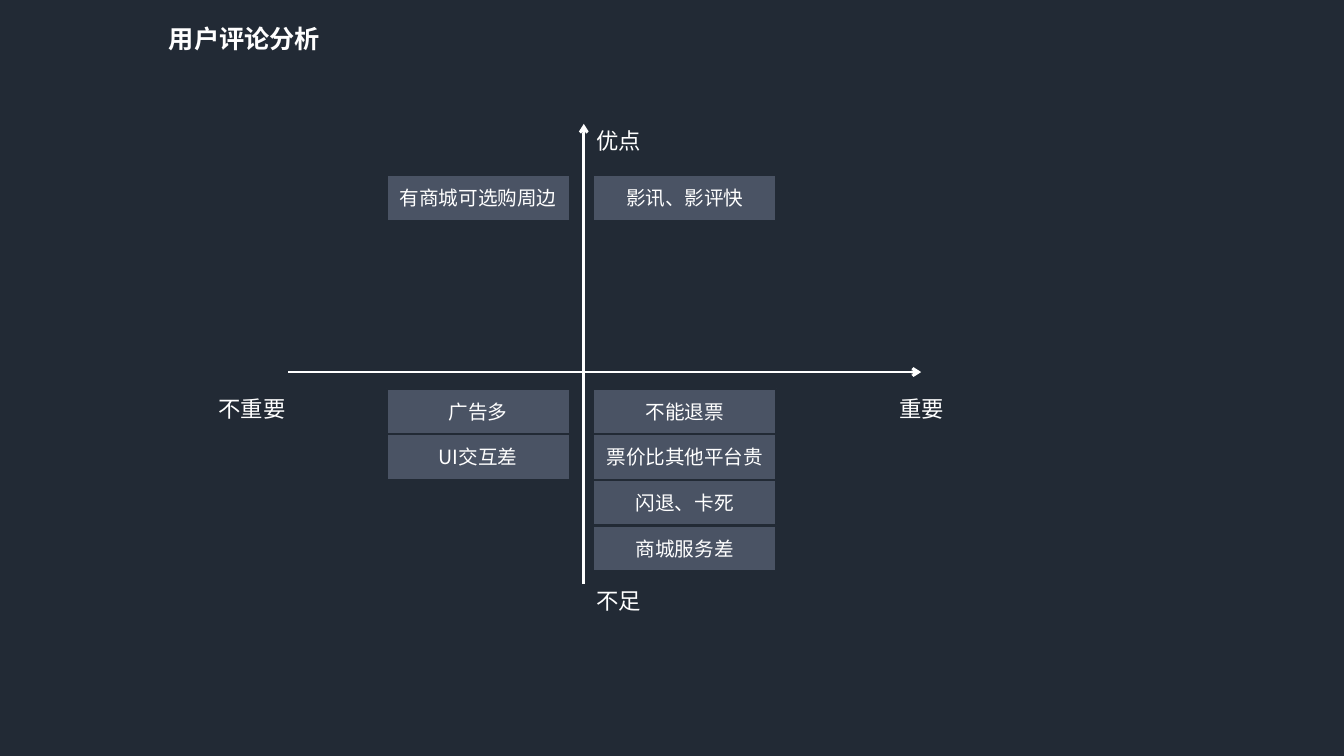
from lxml import etree
from pptx import Presentation
from pptx.dml.color import RGBColor
from pptx.enum import shapes, text
from pptx.oxml import ns
from pptx.util import Pt

BACKGROUND, CARD, WHITE = "222A35", "4A5364", "FFFFFF"
CJK_FONT, LABEL_FONT = "Noto Sans CJK SC", "DejaVu Sans"
color = RGBColor.from_string


def write(frame, words, size, font, bold=False):
    """Put one centred white run into a text frame, for Latin and East Asian letters."""
    paragraph = frame.paragraphs[0]
    paragraph.alignment = text.PP_ALIGN.CENTER
    run = paragraph.add_run()
    run.text = words
    run.font.size, run.font.name, run.font.bold = Pt(size), font, bold
    run.font.color.rgb = color(WHITE)
    etree.SubElement(run.font._element, ns.qn("a:ea"), typeface=font)


prs = Presentation()
prs.slide_width, prs.slide_height = Pt(1920), Pt(1080)
slide = prs.slides.add_slide(prs.slide_layouts[5])
slide.background.fill.solid()
slide.background.fill.fore_color.rgb = color(BACKGROUND)

title = slide.shapes.title
title.left, title.top, title.width, title.height = Pt(52), Pt(34.5), Pt(594.5), Pt(80)
title.text_frame.vertical_anchor = text.MSO_ANCHOR.TOP
title.text_frame.paragraphs[0].line_spacing = 0.9
write(title.text_frame, "用户评论分析", 36, CJK_FONT, bold=True)

# Axes: importance to the right, strengths upwards
for x1, y1, x2, y2 in [(412, 531.5, 1316, 531.5), (834, 834, 834, 177)]:
    axis = slide.shapes.add_connector(
        shapes.MSO_CONNECTOR.STRAIGHT, Pt(x1), Pt(y1), Pt(x2), Pt(y2))
    axis.line.color.rgb = color(WHITE)
    axis.line.width = Pt(4)
    etree.SubElement(axis.line._get_or_add_ln(), ns.qn("a:tailEnd"), type="arrow")
    etree.SubElement(axis._element.spPr, ns.qn("a:effectLst"))

RIGHT, LEFT = 847.5, 552.25
axis_ends = [
    ("重要", 1280, 560, 73),
    ("不重要", 307.5, 560, 105),
    ("优点", RIGHT, 177, 73),
    ("不足", RIGHT, 834, 73),
]
for words, x, y, width in axis_ends:
    label = slide.shapes.add_textbox(Pt(x), Pt(y), Pt(width), Pt(47)).text_frame
    label.margin_left = label.margin_right = Pt(4)
    label.margin_top = label.margin_bottom = Pt(4)
    label.vertical_anchor = text.MSO_ANCHOR.MIDDLE
    label.word_wrap = False
    label.auto_size = text.MSO_AUTO_SIZE.SHAPE_TO_FIT_TEXT
    write(label, words, 32, LABEL_FONT)

# Review cards, stacked downwards in each quadrant
STRENGTHS, WEAKNESSES, ROW_STEP = 250.5, 555.25, 65.2
quadrants = [
    (RIGHT, STRENGTHS, ["影讯、影评快"]),
    (RIGHT, WEAKNESSES, ["不能退票", "票价比其他平台贵", "闪退、卡死", "商城服务差"]),
    (LEFT, WEAKNESSES, ["广告多", "UI交互差"]),
    (LEFT, STRENGTHS, ["有商城可选购周边"]),
]
for x, top, reviews in quadrants:
    for row, review in enumerate(reviews):
        card = slide.shapes.add_shape(
            shapes.MSO_SHAPE.PENTAGON, Pt(x), Pt(top + row * ROW_STEP), Pt(261.5), Pt(65))
        card.adjustments[0] = 0
        card.shadow.inherit = False
        card.fill.solid()
        card.fill.fore_color.rgb = color(CARD)
        card.line.color.rgb = color(BACKGROUND)
        card.line.width = Pt(3)
        card.text_frame.vertical_anchor = text.MSO_ANCHOR.MIDDLE
        write(card.text_frame, review, 28, CJK_FONT)

prs.save("out.pptx")
